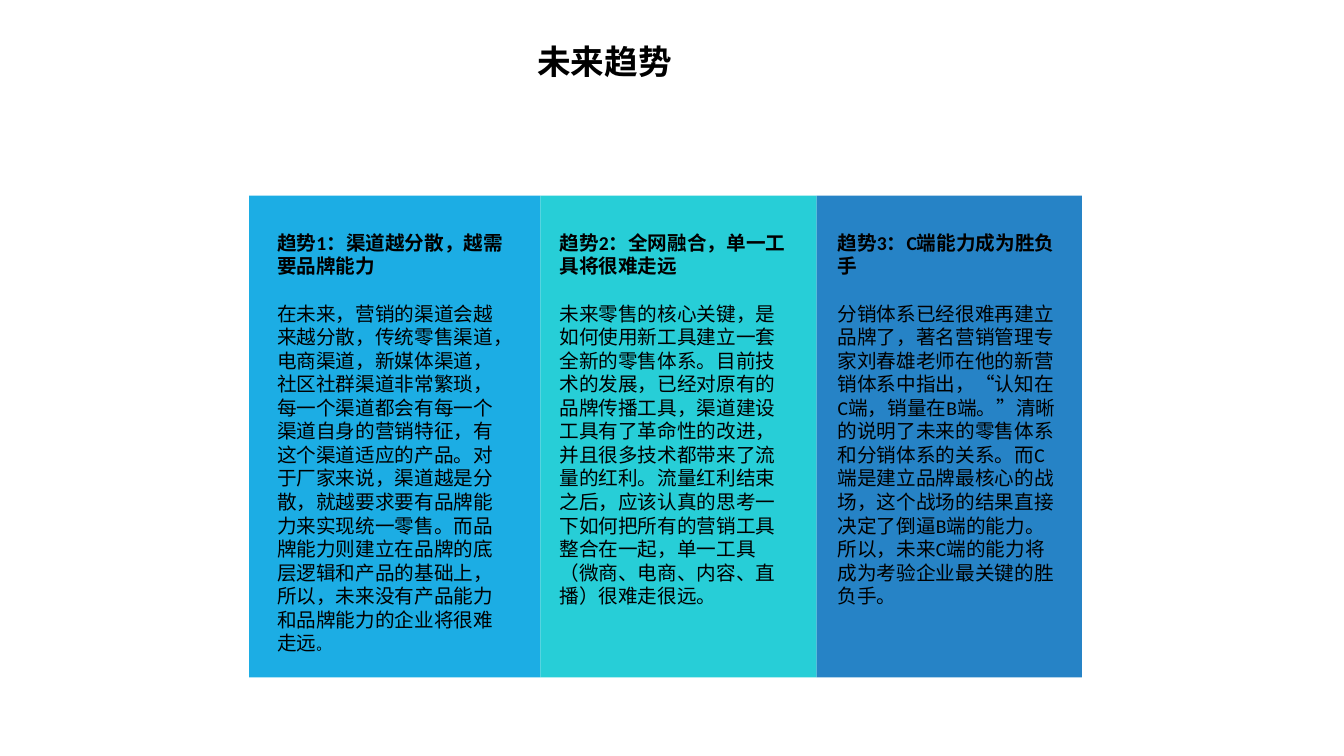
from dataclasses import dataclass

from pptx import Presentation
from pptx.dml.color import RGBColor
from pptx.enum.lang import MSO_LANGUAGE_ID
from pptx.enum.shapes import MSO_SHAPE
from pptx.enum.text import MSO_ANCHOR, MSO_AUTO_SIZE, PP_ALIGN
from pptx.util import Emu, Pt

SCALE = 9144  # EMU in one px, 100 px to the inch


@dataclass(frozen=True)
class Theme:
    font: str = "Calibri"
    ink: str = "000000"
    sky: str = "1CADE4"
    teal: str = "27CED7"
    blue: str = "2683C6"
    title: int = 24
    body: int = 14
    small: int = 10
    gap: int = 17


class Deck:
    def __init__(self, theme, width, height):
        self.theme = theme
        self.file = Presentation()
        self.file.slide_width = Emu(width * SCALE)
        self.file.slide_height = Emu(height * SCALE)
        self.slide = self.file.slides.add_slide(self.file.slide_layouts[6])

    def panel(self, box, color):
        shape = self.slide.shapes.add_shape(
            MSO_SHAPE.RECTANGLE, *(Emu(n * SCALE) for n in box))
        shape.shadow.inherit = False
        shape.fill.solid()
        shape.fill.fore_color.rgb = RGBColor.from_string(color)
        shape.line.fill.background()

    def text(self, box, paras, after=0, leading=None, grow=False):
        """Add paragraphs, each a list of (words, size, bold) runs."""
        shape = self.slide.shapes.add_textbox(
            *(Emu(n * SCALE) for n in box))
        frame = shape.text_frame
        frame.word_wrap = True
        frame.vertical_anchor = MSO_ANCHOR.TOP
        if grow:
            frame.auto_size = MSO_AUTO_SIZE.SHAPE_TO_FIT_TEXT
        for i, runs in enumerate(paras):
            para = frame.add_paragraph() if i else frame.paragraphs[0]
            para.alignment = PP_ALIGN.LEFT
            if leading:
                para.line_spacing = leading
            if i < len(paras) - 1:
                para.space_after = Pt(after)
            for words, size, bold in runs:
                self.run(para, words, size, bold)

    def run(self, para, words, size, bold):
        run = para.add_run()
        run.text = words
        font = run.font
        font.name = self.theme.font
        font.size = Pt(size)
        font.bold = bold
        font.color.rgb = RGBColor.from_string(self.theme.ink)
        font.language_id = MSO_LANGUAGE_ID.SIMPLIFIED_CHINESE


def main():
    theme = Theme()
    deck = Deck(theme, 1333, 750)
    size = theme.body
    # Panel left, width, colour; text left, width, height; heading; body runs
    trends = [
        (247, 289, theme.sky, 265, 249, 434,
         "趋势1：渠道越分散，越需要品牌能力",
         [("在未来，营销的渠道会越来越分散，传统零售渠道，电商渠道，新媒体渠道，"
           "社区社群渠道非常繁琐，每一个渠道都会有每一个渠道自身的营销特征，"
           "有这个渠道适应的产品。对于厂家来说，渠道越是分散，就越要求要有品牌能力"
           "来实现统一零售。而品牌能力则建立在品牌的底层逻辑和产品的基础上，"
           "所以，未来没有产品能力和品牌能力的企业将很难走远", size, False),
          ("。", theme.small, False)]),
        (536, 274, theme.teal, 545, 251, 387,
         "趋势2：全网融合，单一工具将很难走远",
         [("未来零售的核心关键，是如何使用新工具建立一套全新的零售体系。"
           "目前技术的发展，已经对原有的品牌传播工具，渠道建设工具有了革命性的改进，"
           "并且很多技术都带来了流量的红利。流量红利结束之后，"
           "应该认真的思考一下如何把所有的营销工具整合在一起，"
           "单一工具（微商、电商、内容、直播）很难走很远。", size, False)]),
        (810, 263, theme.blue, 821, 244, 387,
         "趋势3：C端能力成为胜负手",
         [("分销体系已经很难再建立品牌了，著名营销管理专家刘春雄老师"
           "在他的新营销体系中指出，“认知在C端，销量在B端。”"
           "清晰的说明了未来的零售体系和分销体系的关系。"
           "而C端是建立品牌最核心的战场，这个战场的结果直接决定了倒逼B端的能力。"
           "所以，未来C端的能力将成为考验企业最关键的胜负手。", size, False)]),
    ]
    for left, width, color, *_ in trends:
        deck.panel((left, 194, width, 478), color)
    for *_, left, width, height, head, body in trends:
        deck.text((left, 224, width, height),
                  [[(head, size, True)], body], after=theme.gap, grow=True)
    deck.text((523, 40, 287, 46), [[("未来趋势", theme.title, True)]],
              leading=0.9)
    deck.file.save("out.pptx")


if __name__ == "__main__":
    main()
